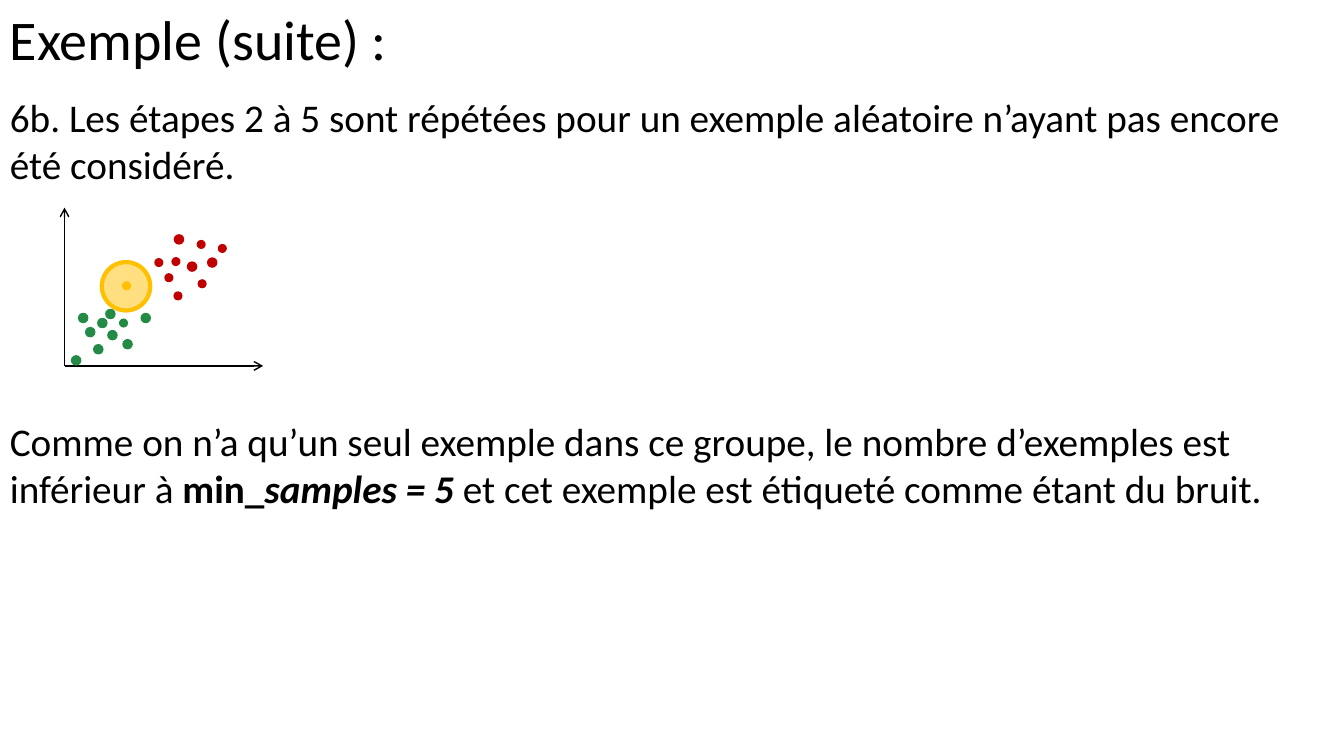
import pptx
import pptx.dml.color
import pptx.enum.shapes
import pptx.enum.text
import pptx.oxml.ns
import pptx.oxml.xmlchemy
import pptx.util
from pptx.util import Inches

BLACK, GREEN, RED, AMBER = "000000", "238B45", "C00000", "FFC000"
DOT_SIZE = 0.09
OUTLINED_GREEN = [(0.71, 3.53), (0.85, 3.25), (1.07, 3.28), (1.4, 3.11), (0.97, 3.16),
                  (0.93, 3.42), (0.78, 3.11), (1.22, 3.37), (1.05, 3.07)]
PLAIN_GREEN = [(1.18, 3.16)]
OUTLINED_RED = [(1.86, 2.6), (2.06, 2.56), (1.73, 2.33)]
PLAIN_RED = [(1.72, 2.89), (1.53, 2.56), (1.95, 2.38), (1.63, 2.71), (1.7, 2.55),
             (1.96, 2.77), (2.16, 2.42)]
NOISE = [(1.21, 2.79)]


def paint(color_format, color):
    color_format.rgb = pptx.dml.color.RGBColor.from_string(color)


def append_element(parent, tag, **attributes):
    element = pptx.oxml.xmlchemy.OxmlElement(tag)
    for name, value in attributes.items():
        element.set(name, value)
    parent.append(element)


def add_run(paragraph, text, size=28, bold=False, italic=False, color=BLACK):
    run = paragraph.add_run()
    run.text = text
    run.font.name = "Calibri"
    run.font.size = pptx.util.Pt(size)
    run.font.bold = bold
    run.font.italic = italic
    paint(run.font.color, color)


def add_paragraph_box(slide, top, height):
    frame = slide.shapes.add_textbox(0, Inches(top), Inches(13.33), Inches(height)).text_frame
    frame.word_wrap = True
    frame.vertical_anchor = pptx.enum.text.MSO_ANCHOR.TOP
    return frame.paragraphs[0]


def add_circle(plot, left, top, size, color, line_width=0, opacity=100):
    circle = plot.shapes.add_shape(pptx.enum.shapes.MSO_SHAPE.OVAL, Inches(left), Inches(top),
                                   Inches(size), Inches(size))
    circle.shadow.inherit = False
    circle.fill.solid()
    paint(circle.fill.fore_color, color)
    if opacity < 100:
        fill_color = circle._element.spPr.find(".//" + pptx.oxml.ns.qn("a:srgbClr"))
        append_element(fill_color, "a:alpha", val=str(opacity * 1000))
    if line_width:
        paint(circle.line.color, color)
        circle.line.width = pptx.util.Pt(line_width)
    else:
        circle.line.fill.background()


def add_dots(plot, positions, color, line_width=0):
    for left, top in positions:
        add_circle(plot, left, top, DOT_SIZE, color, line_width)


def add_axis(plot, start, end):
    axis = plot.shapes.add_connector(pptx.enum.shapes.MSO_CONNECTOR.STRAIGHT,
                                     *map(Inches, start + end))
    paint(axis.line.color, BLACK)
    axis.line.width = pptx.util.Pt(1)
    properties = axis._element.spPr
    append_element(properties.find(pptx.oxml.ns.qn("a:ln")), "a:tailEnd", type="arrow")
    append_element(properties, "a:effectLst")


def add_scatter_plot(slide):
    plot = slide.shapes.add_group_shape()
    add_circle(plot, 1.01, 2.6, 0.48, AMBER, line_width=3, opacity=50)
    origin = (0.64, 3.63)
    add_axis(plot, origin, (0.64, 2.06))
    add_axis(plot, origin, (2.61, 3.63))
    add_dots(plot, OUTLINED_GREEN, GREEN, line_width=1)
    add_dots(plot, PLAIN_GREEN, GREEN)
    add_dots(plot, NOISE, AMBER)
    add_dots(plot, OUTLINED_RED, RED, line_width=1)
    add_dots(plot, PLAIN_RED, RED)


def main():
    presentation = pptx.Presentation()
    presentation.slide_width = Inches(13.33)
    presentation.slide_height = Inches(7.5)
    slide = presentation.slides.add_slide(presentation.slide_layouts[6])

    title = add_paragraph_box(slide, 0, 1.25)
    add_run(title, "Exemple (suite) :", size=40)

    step = add_paragraph_box(slide, 0.88, 1.04)
    add_run(step, "6b. Les étapes 2 à 5 sont répétées pour un exemple aléatoire "
                  "n’ayant pas encore été considéré.")

    add_scatter_plot(slide)

    conclusion = add_paragraph_box(slide, 4.09, 1.04)
    add_run(conclusion, "Comme on n’a qu’un seul exemple dans ce groupe, "
                        "le nombre d’exemples est inférieur à ")
    add_run(conclusion, "min_", bold=True)
    add_run(conclusion, "samples = 5 ", bold=True, italic=True)
    add_run(conclusion, "et cet exemple est étiqueté comme étant du bruit.")

    presentation.save("out.pptx")


main()
